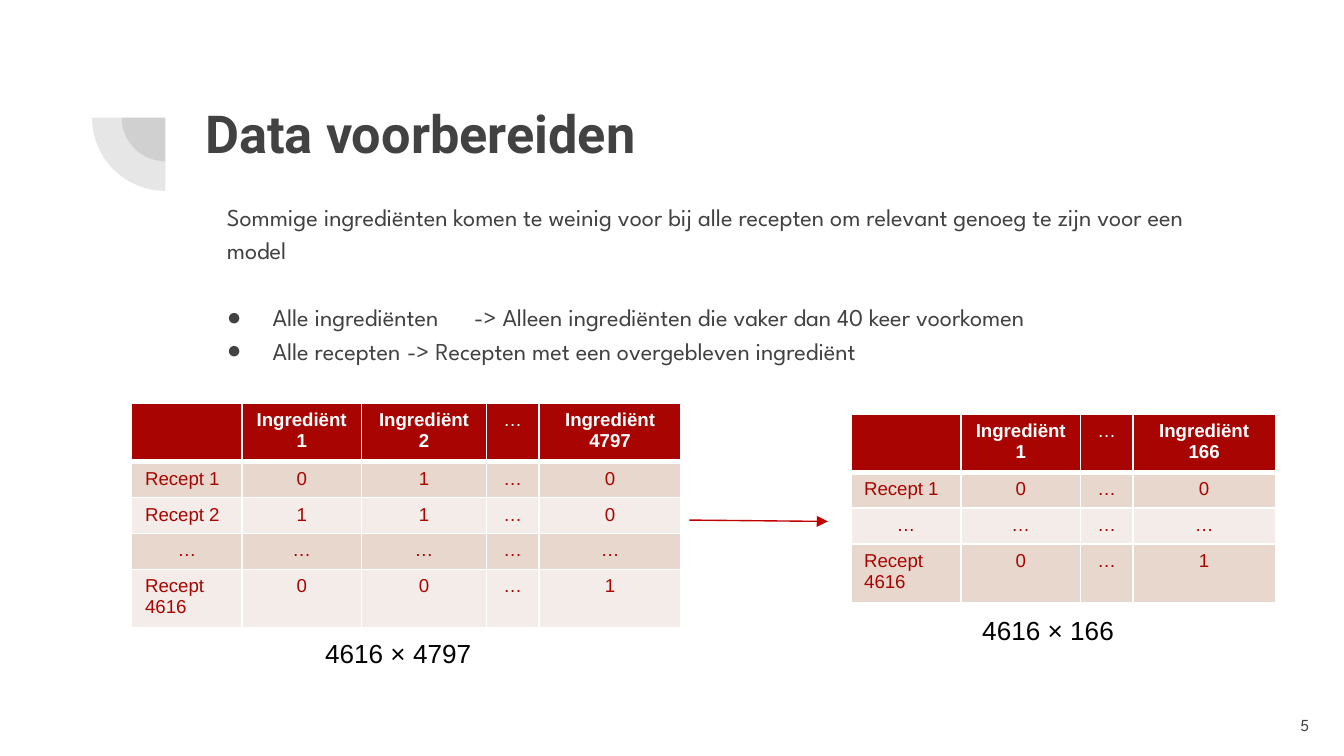
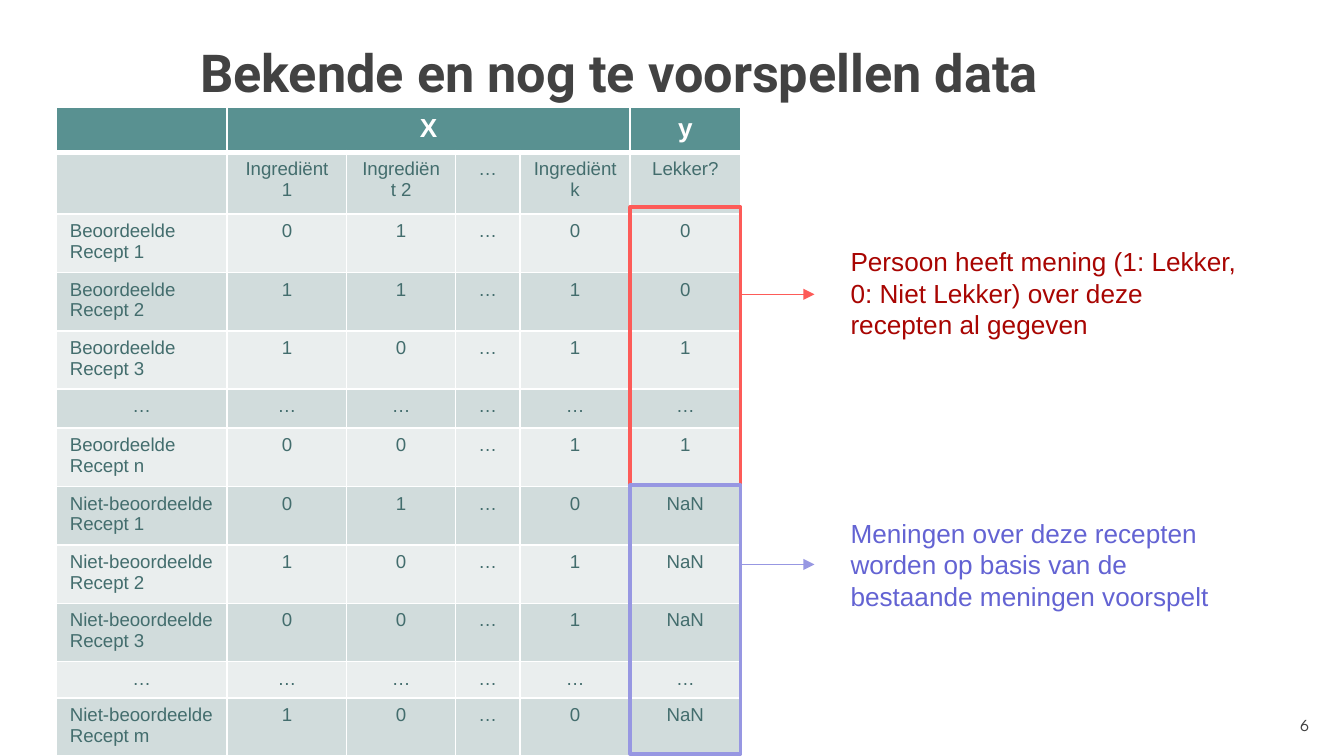
from dataclasses import dataclass
from lxml.etree import SubElement as Sub
from pptx import Presentation
from pptx.dml.color import RGBColor as RGB
from pptx.enum.shapes import MSO_CONNECTOR as Link, MSO_SHAPE as Kind
from pptx.enum.text import MSO_ANCHOR as Anchor, MSO_AUTO_SIZE as Fit, PP_ALIGN as Align
from pptx.oxml.ns import qn
from pptx.util import Inches, Pt


@dataclass(frozen=True)
class Theme:
    ink: str = "424242"
    white: str = "FFFFFF"
    black: str = "000000"
    red: str = "A80502"
    arrow: str = "C00000"
    coral: str = "FD5B58"
    lilac: str = "9797E2"
    violet: str = "6363D3"
    warm: tuple = ("A80502", "A80502", "E8D7CD", "F4ECE8")
    cool: tuple = ("599191", "436D6D", "D1DCDC", "EAEEEE")
    head: str = "Roboto"
    body: str = "League Spartan"
    plain: str = "Arial"
    title: int = 28
    note: int = 14
    text: int = 13
    cell: int = 10
    foot: int = 9


look = Theme()
deck = Presentation()
deck.slide_width, deck.slide_height = Inches(10), Inches(5.625)
unit = deck.slide_width // 100


def write(page, box, lines, size, face, tint, bold=False, pad=(1, 1)):
    item = page.shapes.add_textbox(*[int(n * unit) for n in box])
    frame = item.text_frame
    frame.word_wrap = True
    frame.margin_left = frame.margin_right = int(pad[0] * unit)
    frame.margin_top = frame.margin_bottom = int(pad[1] * unit)
    for i, line in enumerate(lines):
        para = frame.paragraphs[0] if i == 0 else frame.add_paragraph()
        run = para.add_run()
        run.text = line
        run.font.size, run.font.name, run.font.bold = Pt(size), face, bold
        run.font.color.rgb = RGB.from_string(tint)
    return frame


def grid(page, left, top, cols, rows, data, tints, size):
    head, ink, *bands = tints
    table = page.shapes.add_table(
        len(rows), len(cols), int(left * unit), int(top * unit),
        int(sum(cols) * unit), int(sum(rows) * unit)).table
    table.horz_banding = False
    for col, wide in zip(table.columns, cols):
        col.width = int(wide * unit)
    for r, (row, high, line) in enumerate(zip(table.rows, rows, data)):
        row.height = int(high * unit)
        for c, (cell, word) in enumerate(zip(row.cells, line.split("|"))):
            props = cell._tc.get_or_add_tcPr()
            for side in "LRTB":
                thick = (r, side) in ((0, "B"), (1, "T"))
                edge = Sub(props, qn(f"a:ln{side}"), w=str(Pt(3 if thick else 1)))
                Sub(Sub(edge, qn("a:solidFill")), qn("a:srgbClr"), val=look.white)
            cell.fill.solid()
            cell.fill.fore_color.rgb = RGB.from_string(bands[(r + 1) % 2] if r else head)
            para = cell.text_frame.paragraphs[0]
            if not word:
                Sub(para._p, qn("a:endParaRPr"), sz=str(look.cell * 100))
                continue
            para.alignment = Align.CENTER if c or word == "…" else Align.LEFT
            run = para.add_run()
            run.text = word
            run.font.name = look.plain
            run.font.size = Pt(look.cell if r else size)
            run.font.bold = r == 0 and word != "…"
            run.font.color.rgb = RGB.from_string(ink if r else look.white)
    return table


pages = []
for num, name, left, top in ((5, "Data voorbereiden", 14.3, 6.5),
                             (6, "Bekende en nog te voorspellen data", 13.9, 2)):
    page = deck.slides.add_slide(deck.slide_layouts[6])
    pages.append(page)
    write(page, (left, top, 76.9, 10.9), [name], look.title, look.head, look.ink, True)
    foot = write(page, (92.4, 51.8, 6, 4.3), [str(num)], look.foot, look.body, look.ink)
    foot.vertical_anchor = Anchor.MIDDLE
    foot.paragraphs[0].alignment = Align.RIGHT
prep, known = pages

for wide in (6.5, 10.9):
    box = (12.3 - wide / 2, 8.75 - wide / 2, wide, wide)
    pie = prep.shapes.add_shape(Kind.PIE, *[int(n * unit) for n in box])
    pie.shadow.inherit = False
    pie.adjustments[0], pie.adjustments[1] = 54, 108
    pie.line.fill.background()
    pie.fill.solid()
    pie.fill.fore_color.rgb = RGB.from_string(look.ink)
    Sub(pie._element.spPr.find(".//" + qn("a:srgbClr")), qn("a:alpha"), val="13000")

body = write(prep, (14.3, 13.7, 76.9, 27.8), [
    "Sommige ingrediënten komen te weinig voor bij alle recepten om relevant genoeg te zijn voor een model",
    "Alle ingrediënten \t-> Alleen ingrediënten die vaker dan 40 keer voorkomen",
    "Alle recepten \t-> Recepten met een overgebleven ingrediënt",
], look.text, look.body, look.ink)
for i, para in enumerate(body.paragraphs):
    para.line_spacing = 1.15
    props = para._p.get_or_add_pPr()
    props.set("marL", str(int((5 if i else 1.6) * unit)))
    props.set("indent", str(int(-3.4 * unit) if i else 0))
    if i == 1:
        para.space_before = Pt(18)
    if i:
        Sub(Sub(props, qn("a:buClr")), qn("a:srgbClr"), val=look.ink)
        Sub(props, qn("a:buFont"), typeface=look.plain)
        Sub(props, qn("a:buChar"), char="●")

grid(prep, 9.8, 30, (8.2, 8.9, 9.3, 3.9, 10.6), (4.2,) + (2.3,) * 4, (
    "|Ingrediënt 1|Ingrediënt 2|…|Ingrediënt 4797",
    "Recept 1|0|1|…|0",
    "Recept 2|1|1|…|0",
    "…|…|…|…|…",
    "Recept 4616|0|0|…|1",
), look.warm, look.cell)
grid(prep, 63.3, 30.8, (8.2, 8.9, 3.9, 10.6), (4.2,) + (2.3,) * 3, (
    "|Ingrediënt 1|…|Ingrediënt 166",
    "Recept 1|0|…|0",
    "…|…|…|…",
    "Recept 4616|0|…|1",
), look.warm, look.cell)

rated, fresh = "Beoordeelde Recept", "Niet-beoordeelde Recept"
facts = grid(known, 4.2, 8, (12.7, 8.9, 8.1, 4.8, 8.2, 8.2),
             (3.3, 4.6, 4.3, 4.3, 4.3, 2.9, 4.3, 4.1, 4.3, 4.1, 2.7, 4), (
    "|X||||y",
    "|Ingrediënt 1|Ingrediënt 2|…|Ingrediënt k|Lekker?",
    f"{rated} 1|0|1|…|0|0",
    f"{rated} 2|1|1|…|1|0",
    f"{rated} 3|1|0|…|1|1",
    "…|…|…|…|…|…",
    f"{rated} n|0|0|…|1|1",
    f"{fresh} 1|0|1|…|0|NaN",
    f"{fresh} 2|1|0|…|1|NaN",
    f"{fresh} 3|0|0|…|1|NaN",
    "…|…|…|…|…|…",
    f"{fresh} m|1|0|…|0|NaN",
), look.cool, look.note)
facts.cell(0, 1).merge(facts.cell(0, 4))

for top, high, tint in ((15.4, 20.7, look.coral), (36.1, 20, look.lilac)):
    frame = known.shapes.add_shape(Kind.RECTANGLE, *[int(n * unit) for n in (46.9, top, 8.2, high)])
    frame.shadow.inherit = False
    frame.fill.background()
    frame.line.color.rgb = RGB.from_string(tint)
    frame.line.width = Pt(2)

for page, ends, tint in ((prep, (51.3, 38.7, 61.6, 38.8), look.arrow),
                         (known, (55.1, 21.9, 60.6, 21.9), look.coral),
                         (known, (55.1, 42, 60.6, 42), look.lilac)):
    line = page.shapes.add_connector(Link.STRAIGHT, *[int(n * unit) for n in ends])
    line.line.color.rgb = RGB.from_string(tint)
    line.line.width = Pt(0.75)
    Sub(line.line._get_or_add_ln(), qn("a:tailEnd"), type="triangle")
    Sub(line._element.spPr, qn("a:effectLst"))

for page, box, words, tint in (
    (prep, (23.2, 46.9, 18.5, 3.4), "4616 × 4797", look.black),
    (prep, (72.1, 45.2, 25.8, 3.4), "4616 × 166", look.black),
    (known, (62.3, 17.8, 30.8, 8.1),
     "Persoon heeft mening (1: Lekker, 0: Niet Lekker) over deze recepten al gegeven", look.red),
    (known, (62.3, 38, 29.9, 8.1),
     "Meningen over deze recepten worden op basis van de bestaande meningen voorspelt", look.violet),
):
    note = write(page, box, [words], look.note, look.plain, tint, pad=(1, 0.5))
    note.auto_size = Fit.SHAPE_TO_FIT_TEXT

deck.save("out.pptx")
